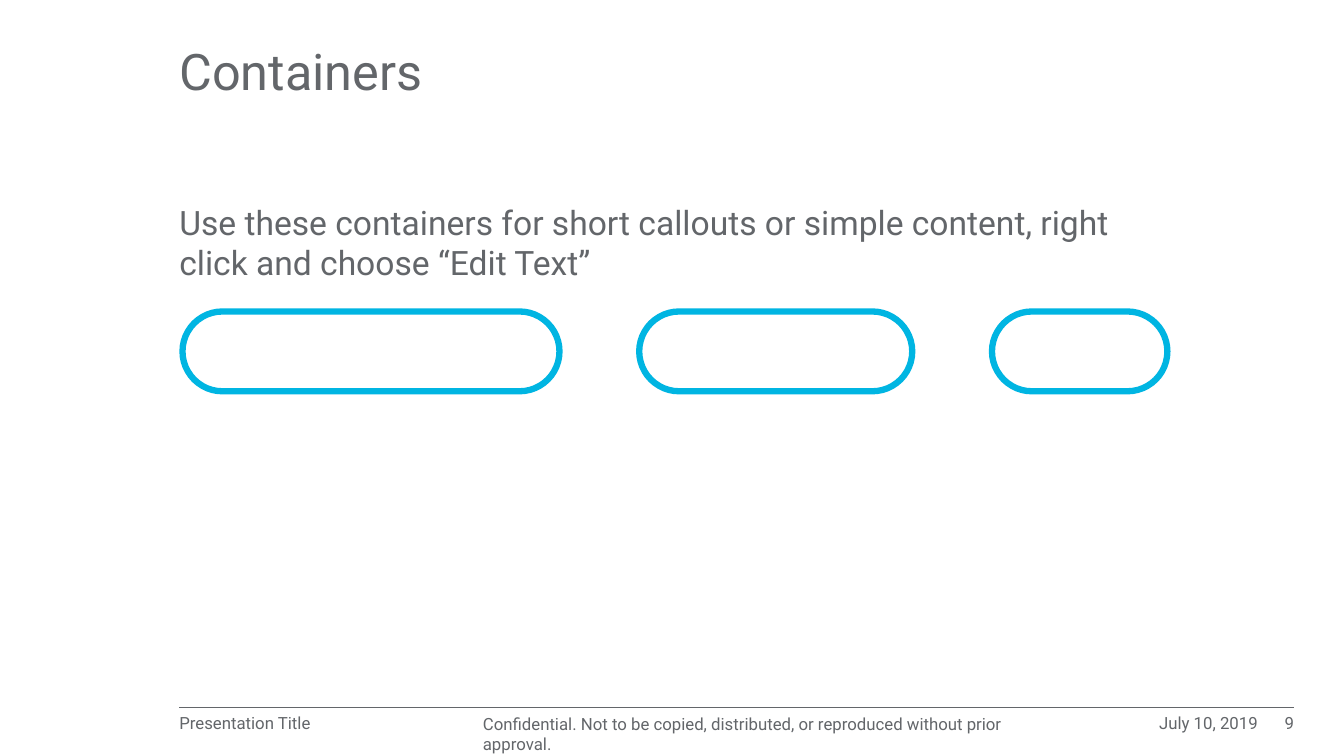
"""Build the Containers slide: title, lead text, three pill outlines and a footer."""
from dataclasses import dataclass

from lxml.etree import SubElement
from pptx import Presentation
from pptx.dml.color import RGBColor
from pptx.enum.shapes import MSO_CONNECTOR as Conn, MSO_SHAPE as Shape
from pptx.enum.text import MSO_ANCHOR as Anchor, PP_ALIGN as Align
from pptx.oxml.ns import qn
from pptx.util import Cm, Pt


@dataclass(frozen=True)
class Theme:
    font: str = "Roboto"
    grey: RGBColor = RGBColor(0x63, 0x66, 0x6A)
    cyan: RGBColor = RGBColor(0x00, 0xB5, 0xE2)
    title: Pt = Pt(36)
    body: Pt = Pt(24)
    footer: Pt = Pt(12)
    rule: Pt = Pt(0.25)
    outline: Pt = Pt(4.5)


theme = Theme()
left, right = 4.52, 32.61
footer_top, footer_height = 17.98, 0.51

prs = Presentation()
prs.slide_width, prs.slide_height = Cm(33.87), Cm(19.05)
s = prs.slides.add_slide(prs.slide_layouts[6])


def add_text(text, box, size, spacing=0.99, align=Align.LEFT, anchor=Anchor.TOP):
    tf = s.shapes.add_textbox(*map(Cm, box)).text_frame
    frame_format = {"word_wrap": True, "vertical_anchor": anchor, "margin_left": 0,
                    "margin_top": 0, "margin_right": 0, "margin_bottom": 0}
    for name, value in frame_format.items():
        setattr(tf, name, value)
    p = tf.paragraphs[0]
    p.alignment, p.line_spacing = align, spacing
    r = p.add_run()
    r.text = text
    for name, value in {"name": theme.font, "size": size}.items():
        setattr(r.font, name, value)
    r.font.color.rgb = theme.grey


add_text("Containers", (left, 0.61, 25, 2.54), theme.title, 0.9, anchor=Anchor.MIDDLE)
add_text("Use these containers for short callouts or simple content, "
         "right click and choose “Edit Text”", (left, 5.13, 25.02, 12.07), theme.body)

pill_left, pill_top, pill_height = 4.6, 7.85, 2.01
for pill_width in (9.5, 6.88, 4.42):
    sp = s.shapes.add_shape(Shape.ROUNDED_RECTANGLE, Cm(pill_left), Cm(pill_top),
                            Cm(pill_width), Cm(pill_height))
    sp.adjustments[0] = 0.5
    sp.shadow.inherit = False
    sp.fill.background()
    sp.line.color.rgb = theme.cyan
    sp.line.width = theme.outline
    pill_left += pill_width + pill_height

rule = s.shapes.add_connector(Conn.STRAIGHT, Cm(left), Cm(17.81), Cm(right), Cm(17.81))
rule.line.color.rgb = theme.grey
rule.line.width = theme.rule
SubElement(rule._element.spPr, qn("a:effectLst"))

footer = [
    ("Presentation Title", left, 7.47, 0.99, Align.LEFT),
    ("Confidential. Not to be copied, distributed, or reproduced without prior approval.",
     12.17, 14.33, 1.0, Align.LEFT),
    ("July 10, 2019", 26.5, 5.2, 0.99, Align.RIGHT),
    ("9", 31.7, 0.91, 0.99, Align.RIGHT),
]
for text, x, width, spacing, align in footer:
    add_text(text, (x, footer_top, width, footer_height), theme.footer, spacing, align)

prs.save("out.pptx")
